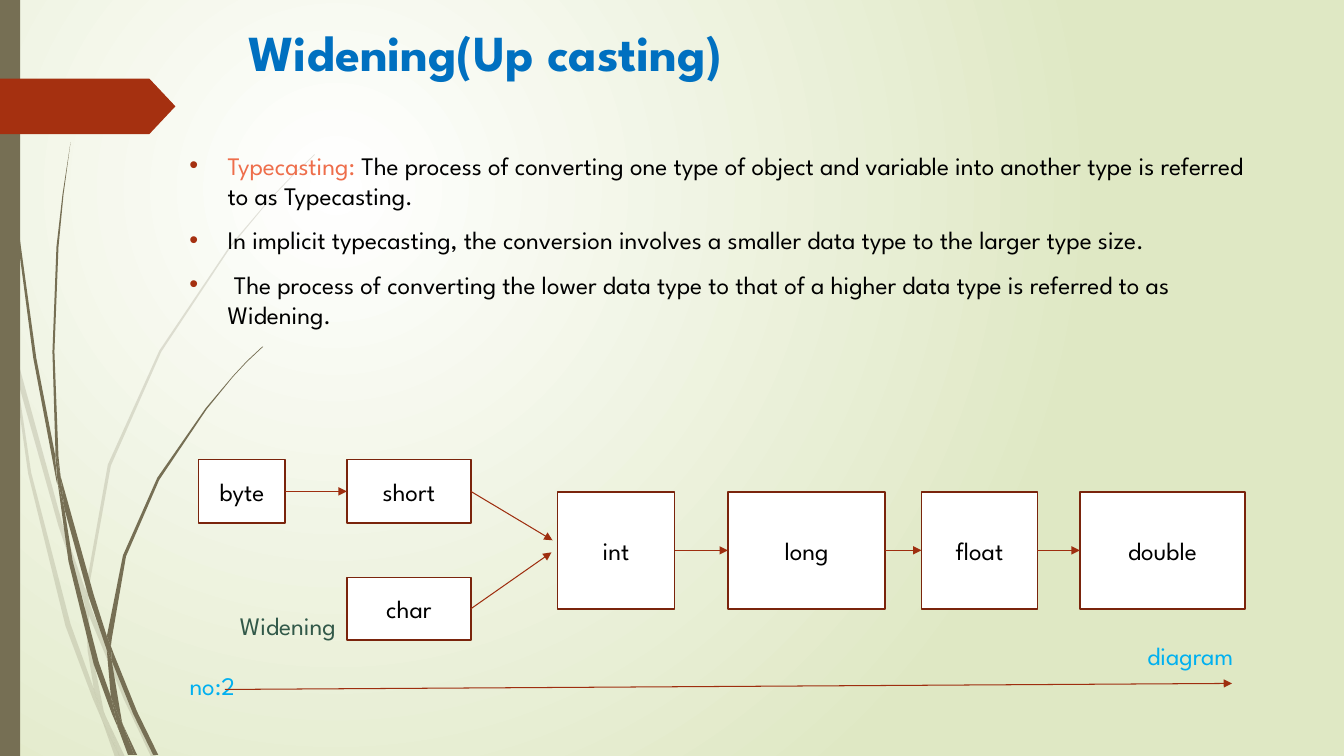
import pptx
import pptx.util
import pptx.dml.color
import pptx.enum.shapes
import pptx.enum.text
import pptx.oxml
import pptx.oxml.ns
import lxml.etree

Inches, Pt = pptx.util.Inches, pptx.util.Pt
RGBColor = pptx.dml.color.RGBColor
SHAPE = pptx.enum.shapes.MSO_SHAPE
ALIGN = pptx.enum.text.PP_ALIGN
ANCHOR = pptx.enum.text.MSO_ANCHOR
qn = pptx.oxml.ns.qn

FONT = "League Spartan"
WHITE = RGBColor(0xFF, 0xFF, 0xFF)
BLACK = RGBColor(0, 0, 0)
PALE_GREEN = RGBColor(0xDF, 0xE8, 0xC4)
OLIVE = RGBColor(0x76, 0x6F, 0x54)
RED = RGBColor(0xA5, 0x30, 0x10)
BOX_LINE = RGBColor(0x7A, 0x24, 0x0C)
ARROW = RGBColor(0x9E, 0x2E, 0x0F)
BLUE = RGBColor(0x00, 0x70, 0xC0)
CORAL = RGBColor(0xEE, 0x6E, 0x4B)
GREEN = RGBColor(0x32, 0x59, 0x49)
SKY = RGBColor(0x00, 0xB0, 0xF0)

# Outlines of the grass blades, in inches from the slide corner
FAINT_BLADES = [
    [(.11, 3.5), (.09, 3.22), (0, 2.82), (0, 2.99), (.1, 3.44)],
    [(.58, 5.22), (.84, 5.99), (.85, 5.86), (.62, 5.2), (.14, 3.45), (.17, 3.76)],
    [(.92, 6.07), (.88, 5.96), (.88, 6.1), (1.23, 6.94), (1.5, 7.51), (1.55, 7.51), (1.27, 6.92)],
    [(1.19, 7.51), (1.24, 7.51), (1.05, 7.11)],
    [(.93, 6.83), (.7, 6.19), (.31, 4.69), (.17, 3.76), (.11, 3.5), (.28, 4.7), (.65, 6.21),
     (.92, 6.93), (1.01, 7.14), (.99, 7.07)],
    [(.84, 5.99), (.87, 6.46), (.93, 6.83), (.96, 6.92), (1.05, 7.11), (1.03, 7.06), (.91, 6.46),
     (.88, 6.1), (.88, 6.08)],
    [(.88, 5.84), (1.1, 4.62), (1.6, 3.49), (2.29, 2.45), (2.68, 1.98), (2.9, 1.75), (3.12, 1.54),
     (3.12, 1.53), (2.89, 1.75), (2.68, 1.97), (2.28, 2.44), (1.58, 3.48), (1.07, 4.61),
     (.85, 5.84), (.85, 5.86), (.88, 5.96)],
    [(1.01, 7.14), (1.14, 7.51), (1.19, 7.51)],
    [(.88, 6.08), (.88, 6.1), (.88, 5.96), (.85, 5.86), (.84, 5.99)],
    [(.96, 6.92), (.93, 6.83), (.99, 7.07), (1.01, 7.14), (1.19, 7.51), (1.05, 7.11)],
]
DARK_BLADES = [
    [(.07, 1.1), (.17, 2.33), (.33, 3.55), (.56, 4.77), (.57, 4.81), (.55, 4.57), (.55, 4.53),
     (.36, 3.55), (.19, 2.32), (.08, 1.09), (.05, .48), (.04, 0), (.03, 0), (.04, .48)],
    [(.88, 5.92), (1.06, 6.45), (1.06, 6.31), (.93, 5.9), (.6, 4.72), (.64, 5.05)],
    [(1.13, 6.49), (1.1, 6.41), (1.11, 6.56), (1.32, 7.08), (1.52, 7.49), (1.57, 7.49), (1.36, 7.06)],
    [(1.1, 6.91), (.98, 6.57), (.72, 5.56), (.64, 5.05), (.57, 4.77), (.68, 5.57), (.93, 6.59),
     (1.11, 7.08), (1.17, 7.22), (1.16, 7.17)],
    [(.6, 4.72), (.58, 4.53), (.54, 3.49), (.58, 2.45), (.63, 1.93), (.7, 1.41), (.62, 1.93),
     (.56, 2.45), (.52, 3.49), (.55, 4.49)],
    [(1.33, 7.49), (1.36, 7.49), (1.22, 7.19)],
    [(.57, 4.77), (.64, 5.05), (.6, 4.72), (.55, 4.49), (.55, 4.53)],
    [(1.11, 6.33), (1.25, 5.52), (1.58, 4.76), (2.05, 4.06), (2.31, 3.74), (2.45, 3.59), (2.61, 3.44),
     (2.6, 3.44), (2.45, 3.58), (2.31, 3.73), (2.04, 4.05), (1.56, 4.74), (1.22, 5.51),
     (1.06, 6.31), (1.1, 6.41)],
    [(1.17, 7.22), (1.27, 7.49), (1.31, 7.49)],
    [(1.06, 6.45), (1.1, 6.91), (1.16, 7.06), (1.22, 7.19), (1.21, 7.16), (1.11, 6.56), (1.09, 6.51)],
    [(1.06, 6.45), (1.09, 6.51), (1.11, 6.56), (1.1, 6.41), (1.06, 6.31)],
    [(1.16, 7.06), (1.1, 6.91), (1.16, 7.17), (1.17, 7.22), (1.3, 7.49), (1.33, 7.49), (1.22, 7.19)],
]


def add_run(p, text, color, size=18, bold=None):
    r = p.add_run()
    r.text = text
    r.font.name, r.font.size, r.font.bold = FONT, Pt(size), bold
    r.font.color.rgb = color


def paint(sp, fill):
    sp.shadow.inherit = False
    sp.fill.solid()
    sp.fill.fore_color.rgb = fill
    sp.line.fill.background()


def set_background(s):
    fill = s.background.fill
    fill.gradient()
    for stop, color, pos in zip(fill.gradient_stops, (WHITE, PALE_GREEN), (0, 1)):
        stop.color.rgb, stop.position = color, pos
    grad = s.element.xpath(".//p:bg//a:gradFill")[0]
    for lin in grad.findall(qn("a:lin")):
        grad.remove(lin)
    circle = lxml.etree.SubElement(grad, qn("a:path"), path="circle")
    lxml.etree.SubElement(circle, qn("a:fillToRect"), l="50000", t="50000", r="100000", b="100000")


def add_blades(s, left, top, blades, alpha=None):
    for points in blades:
        emu = [(Inches(left + x), Inches(top + y)) for x, y in points]
        builder = s.shapes.build_freeform(*emu[0])
        builder.add_line_segments(emu[1:], close=True)
        sp = builder.convert_to_shape()
        paint(sp, OLIVE)
        if alpha:
            color = sp.element.spPr.find(qn("a:solidFill"))[0]
            lxml.etree.SubElement(color, qn("a:alpha"), val=str(alpha * 1000))


def add_decoration(s, left, top, height):
    add_blades(s, left, top, FAINT_BLADES, 20)
    add_blades(s, left, top, DARK_BLADES)
    bar = s.shapes.add_shape(SHAPE.RECTANGLE, Inches(left), Inches(top), Inches(.2), Inches(height))
    paint(bar, OLIVE)
    tag = s.shapes.add_shape(SHAPE.PENTAGON, Inches(left), Inches(top + .78), Inches(1.74), Inches(.55))
    tag.adjustments[0] = .47
    paint(tag, RED)


def set_title(s, left, top, width, height):
    sp = s.shapes.title
    sp.left, sp.top, sp.width, sp.height = map(Inches, (left, top, width, height))
    tf = sp.text_frame
    tf.vertical_anchor = ANCHOR.TOP
    tf.auto_size = pptx.enum.text.MSO_AUTO_SIZE.NONE
    p = tf.paragraphs[0]
    p.alignment = ALIGN.LEFT
    add_run(p, "Widening(Up casting)", BLUE, 36, True)


def add_bullets(s, left, top, width, height):
    bullets = [
        [("Typecasting: ", CORAL),
         ("The process of converting one type of object and variable into another type "
          "is referred to as Typecasting.", BLACK)],
        [("In implicit typecasting, the conversion involves a smaller data type "
          "to the larger type size.", BLACK)],
        [(" The process of converting the lower data type to that of a higher data type "
          "is referred to as Widening.", BLACK)],
    ]
    tf = s.shapes.add_textbox(*map(Inches, (left, top, width, height))).text_frame
    tf.word_wrap = True
    for i, runs in enumerate(bullets):
        p = tf.add_paragraph() if i else tf.paragraphs[0]
        p.space_before = Pt(10 if i else 0)
        pPr = p._p.get_or_add_pPr()
        pPr.set("marL", str(Inches(.38)))
        pPr.set("indent", str(-Inches(.38)))
        color = lxml.etree.SubElement(pPr, qn("a:buClr"))
        lxml.etree.SubElement(color, qn("a:srgbClr"), val=str(RED))
        lxml.etree.SubElement(pPr, qn("a:buFont"), typeface="Arial")
        lxml.etree.SubElement(pPr, qn("a:buChar"), char="•")
        for text, run_color in runs:
            add_run(p, text, run_color)


def add_label(s, text, left, top, color):
    tf = s.shapes.add_textbox(Inches(left), Inches(top), Inches(1.2), Inches(.3)).text_frame
    tf.margin_left = tf.margin_right = tf.margin_top = tf.margin_bottom = 0
    tf.word_wrap = True
    add_run(tf.paragraphs[0], text, color)


def add_type_box(s, name, left, top, width, height):
    sp = s.shapes.add_shape(SHAPE.RECTANGLE, *map(Inches, (left, top, width, height)))
    paint(sp, WHITE)
    sp.line.color.rgb, sp.line.width = BOX_LINE, Pt(1.25)
    tf = sp.text_frame
    tf.vertical_anchor = ANCHOR.MIDDLE
    tf.paragraphs[0].alignment = ALIGN.CENTER
    add_run(tf.paragraphs[0], name, BLACK)
    return sp


def add_arrow(s, begin=(0, 0), end=(0, 0), source=None, target=None):
    c = s.shapes.add_connector(pptx.enum.shapes.MSO_CONNECTOR.STRAIGHT, *map(Inches, begin + end))
    if source:
        c.begin_connect(source, 3)
    if target:
        c.end_connect(target, 1)
    c.line.color.rgb, c.line.width = ARROW, Pt(.75)
    lxml.etree.SubElement(c.line._get_or_add_ln(), qn("a:tailEnd"), type="triangle")
    lxml.etree.SubElement(c.element.spPr, qn("a:effectLst"))


def add_diagram(s, left, top):
    # Type boxes: name, offset from the diagram's corner, size
    layout = [("byte", 0, 0, .86, .63), ("short", 1.47, 0, 1.23, .63), ("char", 1.47, 1.17, 1.23, .62),
              ("int", 3.56, .32, 1.16, 1.16), ("long", 5.25, .32, 1.56, 1.16),
              ("float", 7.17, .32, 1.15, 1.16), ("double", 8.74, .32, 1.64, 1.16)]
    boxes = {name: add_type_box(s, name, left + x, top + y, w, h) for name, x, y, w, h in layout}
    for a, b in (("byte", "short"), ("int", "long"), ("long", "float"), ("float", "double")):
        add_arrow(s, source=boxes[a], target=boxes[b])
    # Two arrows stop just short of the int box
    add_arrow(s, end=(left + 3.51, top + .8), source=boxes["short"])
    add_arrow(s, end=(left + 3.5, top + .92), source=boxes["char"])
    # Captions and the long widening arrow
    add_label(s, "Widening", left + .41, top + 1.49, GREEN)
    add_label(s, "diagram", left + 9.41, top + 1.79, SKY)
    add_label(s, "no:2", left - .09, top + 2.09, SKY)
    add_arrow(s, (left + .26, top + 2.28), (left + 10.25, top + 2.22))


def main():
    prs = pptx.Presentation()
    prs.slide_width, prs.slide_height = Inches(13.33), Inches(7.5)
    s = prs.slides.add_slide(prs.slide_layouts[5])
    set_background(s)
    add_decoration(s, 0, 0, 7.5)
    set_title(s, 2.36, .16, 10.23, 1.92)
    add_bullets(s, 1.78, 1.44, 10.8, 2)
    add_diagram(s, 1.97, 4.56)
    prs.save("out.pptx")


if __name__ == "__main__":
    main()
